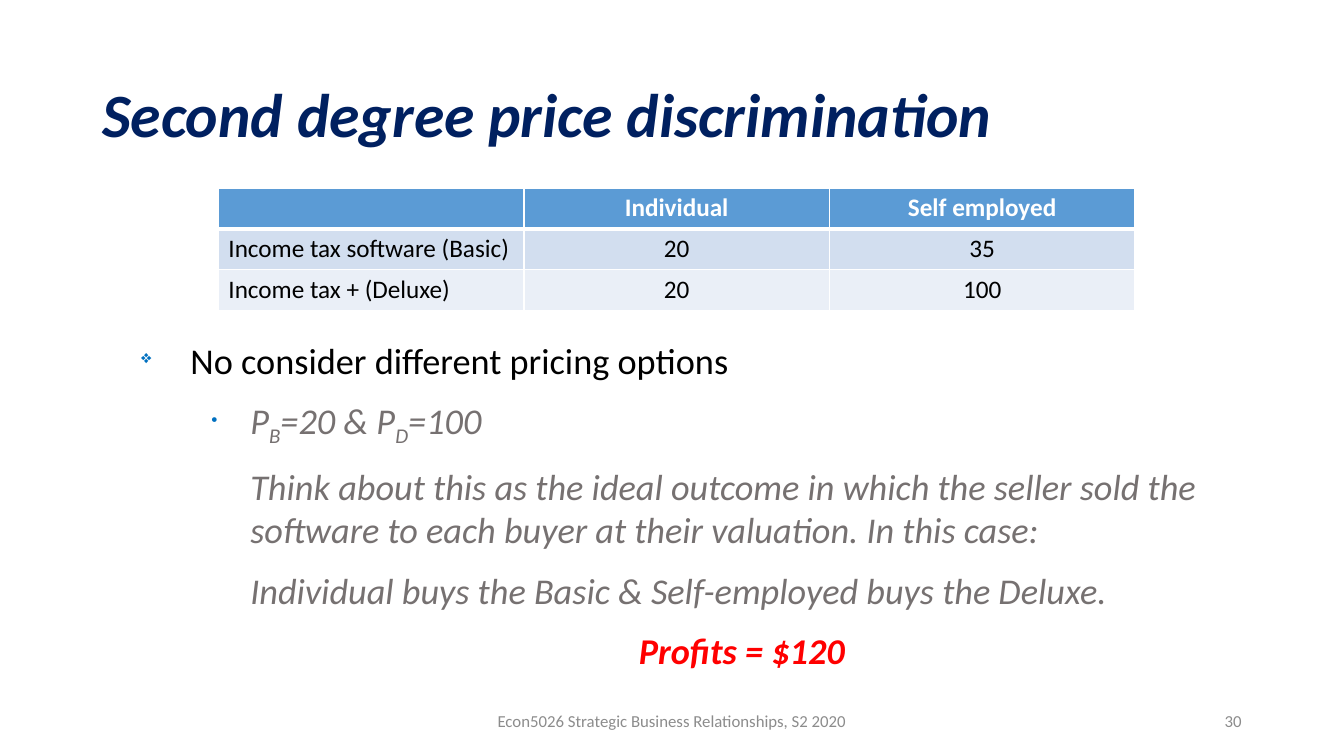
import pptx
import pptx.dml.color
import pptx.enum.text
import pptx.oxml
import pptx.oxml.ns
import pptx.util

RGBColor = pptx.dml.color.RGBColor
ALIGN = pptx.enum.text.PP_ALIGN
ANCHOR = pptx.enum.text.MSO_ANCHOR

NAVY = RGBColor(0x00, 0x20, 0x60)
BLACK = RGBColor(0x00, 0x00, 0x00)
WHITE = RGBColor(0xFF, 0xFF, 0xFF)
GREY = RGBColor(0x76, 0x71, 0x71)
FOOTER_GREY = RGBColor(0x8C, 0x8C, 0x8C)
RED = RGBColor(0xFF, 0x00, 0x00)
BULLET_BLUE = RGBColor(0x00, 0x70, 0xC0)
ROW_FILLS = [RGBColor(0x5B, 0x9B, 0xD5), RGBColor(0xD2, 0xDE, 0xEF), RGBColor(0xEA, 0xEF, 0xF7)]

FONT = "Calibri"
EMU_PER_PX = 9525
BODY_SIZE = 25.9

VALUATIONS = [
    ["", "Individual", "Self employed"],
    ["Income tax software (Basic)", "20", "35"],
    ["Income tax + (Deluxe)", "20", "100"],
]


def px(length):
    """Turn whole pixels into EMU."""
    return pptx.util.Emu(length * EMU_PER_PX)


def add_run(paragraph, text, size, color, bold=False, italic=False, subscript=False):
    """Add one formatted run to a paragraph."""
    run = paragraph.add_run()
    run.text = text
    run.font.name = FONT
    run.font.size = pptx.util.Pt(size)
    run.font.color.rgb = color
    run.font.bold = bold
    run.font.italic = italic
    if subscript:
        run.font._element.set("baseline", "-25000")


def add_text_frame(slide, box, anchor=ANCHOR.MIDDLE):
    """Add a wrapping text box and return its frame."""
    frame = slide.shapes.add_textbox(*map(px, box)).text_frame
    frame.word_wrap = True
    frame.vertical_anchor = anchor
    return frame


def add_line(slide, box, text, size, color, alignment=ALIGN.LEFT, bold=False, italic=False):
    """Place a single line of text in the middle of its box."""
    paragraph = add_text_frame(slide, box).paragraphs[0]
    paragraph.alignment = alignment
    add_run(paragraph, text, size, color, bold, italic)


def add_xml(parent, xml):
    """Append a DrawingML element given as text."""
    namespace = pptx.oxml.ns.nsdecls("a")
    parent.append(pptx.oxml.parse_xml(xml.replace(" ", f" {namespace} ", 1)))


def set_indent(paragraph, margin, hanging, bullet=None):
    """Set the indent of a paragraph and its bullet, if any."""
    properties = paragraph._p.get_or_add_pPr()
    properties.set("marL", str(px(margin)))
    properties.set("indent", str(px(-hanging)))
    if bullet:
        add_xml(properties, f'<a:buClr ><a:srgbClr val="{BULLET_BLUE}"/></a:buClr>')
        add_xml(properties, '<a:buSzPct val="50000"/>')
        add_xml(properties, f'<a:buChar char="{bullet}"/>')
    else:
        add_xml(properties, "<a:buNone />")


def add_pricing_text(slide, box):
    """Write the bulleted discussion of the pricing option."""
    frame = add_text_frame(slide, box, ANCHOR.TOP)
    heading = frame.paragraphs[0]
    set_indent(heading, 84, 47, "❖")
    heading.line_spacing = 0.8
    add_run(heading, "No consider different pricing options", BODY_SIZE, BLACK)

    details = [
        ["P", "B", "=20 & P", "D", "=100"],
        ["Think about this as the ideal outcome in which the seller sold the "
         "software to each buyer at their valuation. In this case:"],
        ["Individual buys the Basic & Self-employed buys the Deluxe."],
        ["Profits = $120 "],
    ]
    for index, parts in enumerate(details):
        is_prices = index == 0
        is_profit = index == len(details) - 1
        paragraph = frame.add_paragraph()
        set_indent(paragraph, 141, 37 if is_prices else 0, "•" if is_prices else None)
        paragraph.space_before = pptx.util.Pt(12)
        paragraph.alignment = ALIGN.CENTER if is_profit else ALIGN.LEFT
        for position, text in enumerate(parts):
            add_run(paragraph, text, BODY_SIZE, RED if is_profit else GREY,
                    bold=is_profit, italic=True, subscript=position % 2 == 1)


def set_borders(cell, top, bottom):
    """Draw white borders around a cell, with widths in points."""
    widths = {"lnL": 1, "lnR": 1, "lnT": top, "lnB": bottom}
    for side, width in widths.items():
        add_xml(cell._tc.get_or_add_tcPr(),
                f'<a:{side} w="{pptx.util.Pt(width)}"><a:solidFill>'
                f'<a:srgbClr val="{WHITE}"/></a:solidFill></a:{side}>')


def add_valuation_table(slide, box):
    """Build the table of buyer valuations."""
    row_count, column_count = len(VALUATIONS), len(VALUATIONS[0])
    table = slide.shapes.add_table(row_count, column_count, *map(px, box)).table
    table.horz_banding = False
    for row_index, values in enumerate(VALUATIONS):
        is_header = row_index == 0
        for column_index, text in enumerate(values):
            cell = table.cell(row_index, column_index)
            set_borders(cell, 3 if row_index == 1 else 1, 3 if is_header else 1)
            cell.fill.solid()
            cell.fill.fore_color.rgb = ROW_FILLS[row_index]
            if text:
                paragraph = cell.text_frame.paragraphs[0]
                paragraph.alignment = ALIGN.CENTER if column_index else ALIGN.LEFT
                add_run(paragraph, text, 18, WHITE if is_header else BLACK, bold=is_header)


def build_discrimination_slide(presentation):
    """Compose the slide on second degree price discrimination."""
    slide = presentation.slides.add_slide(presentation.slide_layouts[6])
    add_line(slide, (88, 38, 1104, 139), "Second degree price discrimination",
             44, NAVY, bold=True, italic=True)
    add_pricing_text(slide, (88, 325, 1104, 324))
    add_line(slide, (424, 667, 432, 38), "Econ5026 Strategic Business Relationships, S2 2020",
             12, FOOTER_GREY, ALIGN.CENTER)
    add_line(slide, (904, 667, 288, 38), "30", 12, FOOTER_GREY, ALIGN.RIGHT)
    add_valuation_table(slide, (208, 179, 873, 117))


def main():
    """Create and save the presentation."""
    presentation = pptx.Presentation()
    presentation.slide_width = px(1280)
    presentation.slide_height = px(720)
    build_discrimination_slide(presentation)
    presentation.save("out.pptx")


if __name__ == "__main__":
    main()
